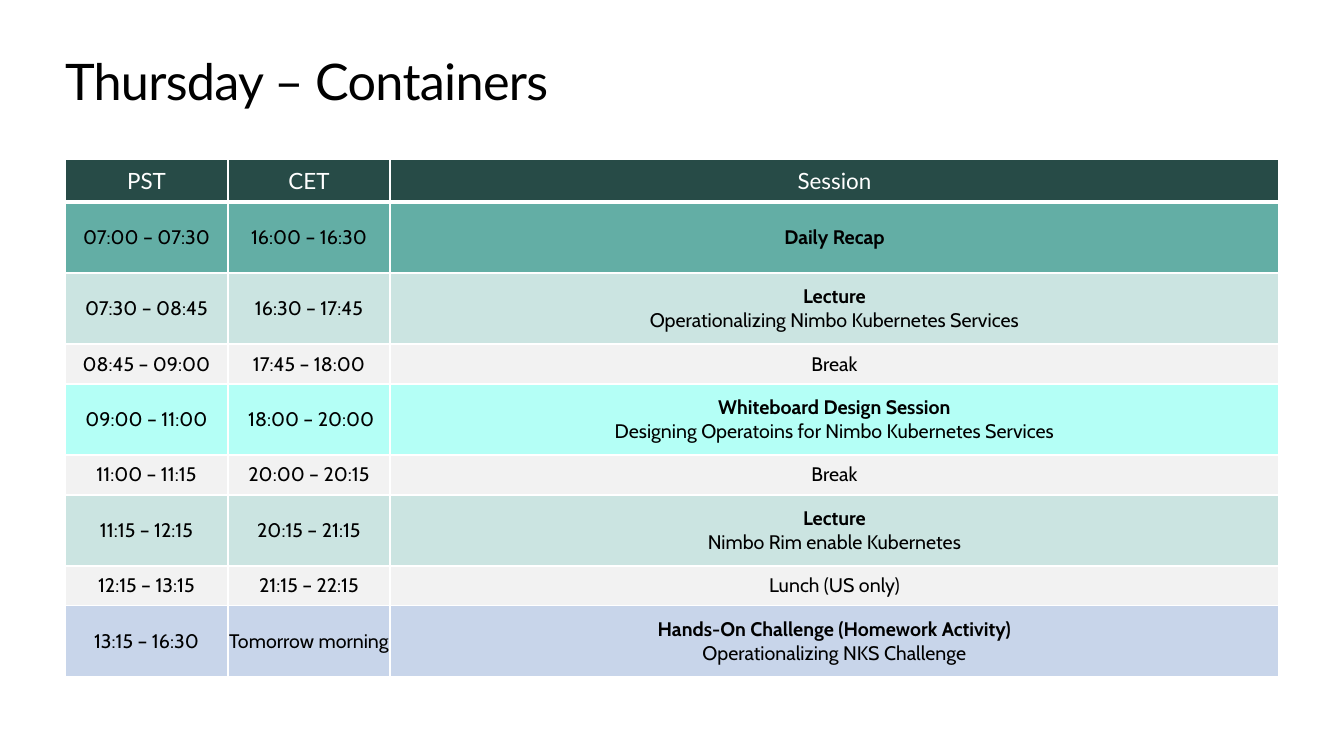
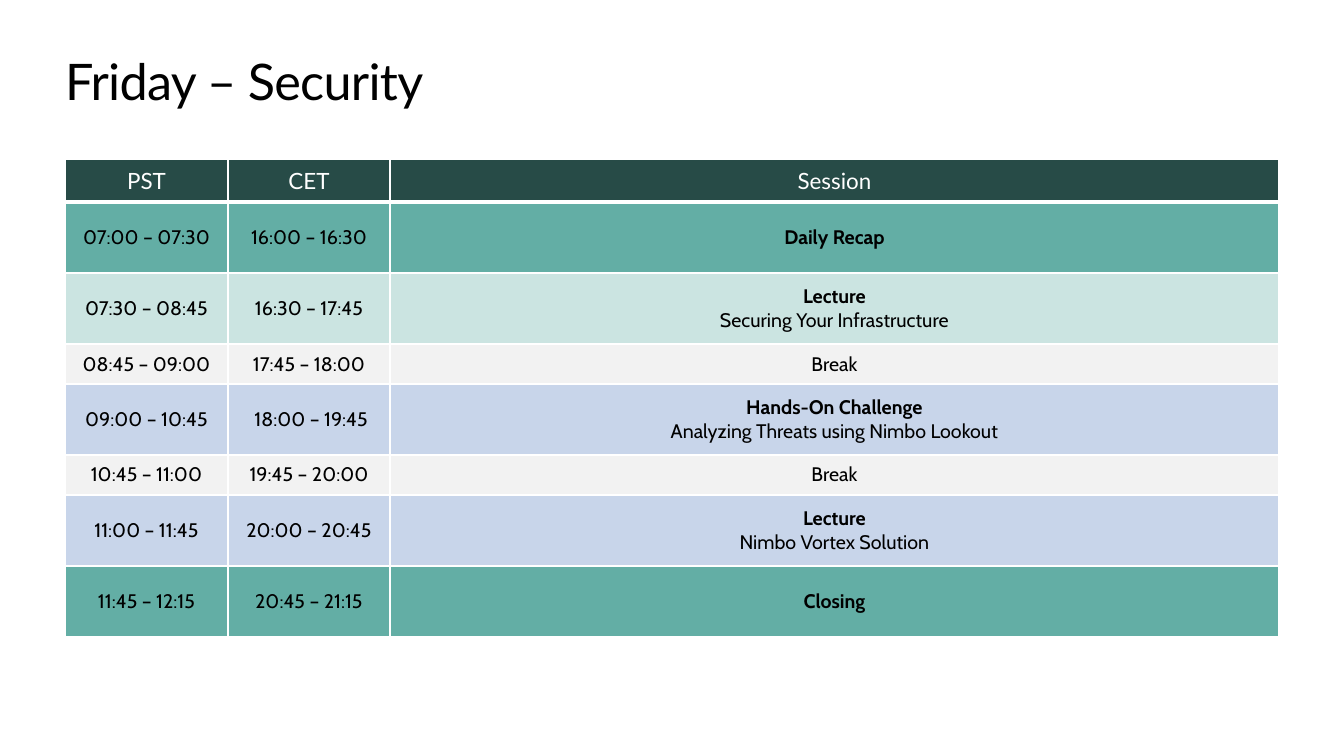
from lxml import etree
from pptx import Presentation
from pptx.dml.color import RGBColor
from pptx.enum.text import MSO_ANCHOR, PP_ALIGN
from pptx.oxml.ns import qn
from pptx.util import Emu, Pt

CENTER = PP_ALIGN.CENTER
MIDDLE = MSO_ANCHOR.MIDDLE
SCALE = 914400 / 100.8

BLACK = RGBColor(0x00, 0x00, 0x00)
WHITE = RGBColor(0xFF, 0xFF, 0xFF)
DARK_TEAL = RGBColor(0x27, 0x4B, 0x47)
TEAL = RGBColor(0x63, 0xAE, 0xA5)
PALE_TEAL = RGBColor(0xCB, 0xE4, 0xE1)
AQUA = RGBColor(0xB4, 0xFF, 0xF6)
BLUE = RGBColor(0xC8, 0xD5, 0xEA)
GREY = RGBColor(0xF2, 0xF2, 0xF2)

TITLE_FONT = {"name": "Lato", "size": Pt(36), "color": BLACK}
HEADER_FONT = {"name": "Lato", "size": Pt(16), "color": WHITE, "bold": False}
BODY_FONT = {"name": "Cabin", "size": Pt(14), "color": BLACK, "bold": False}
STRONG_FONT = {**BODY_FONT, "bold": True}

SLIDE_W, SLIDE_H = 1344, 756
LEFT, WIDTH = 65, 1214
TITLE_TOP, TITLE_H = 50, 62
TABLE_TOP = 159
COL_WIDTHS = (163, 162, 889)
HEADER_H, SESSION_H, PAUSE_H = 43, 71, 40
THIN, THICK = Pt(1), Pt(3)

HEADER = ("PST", "CET", "Session")
DAYS = [
    ("Thursday – Containers", [
        (TEAL, "07:00 – 07:30", "16:00 – 16:30", ["Daily Recap"]),
        (PALE_TEAL, "07:30 – 08:45", "16:30 – 17:45",
         ["Lecture", "Operationalizing Nimbo Kubernetes Services"]),
        (GREY, "08:45 – 09:00", "17:45 – 18:00", ["Break"]),
        (AQUA, "09:00 – 11:00", " 18:00 – 20:00",
         ["Whiteboard Design Session",
          "Designing Operatoins for Nimbo Kubernetes Services"]),
        (GREY, "11:00 – 11:15", "20:00 – 20:15", ["Break"]),
        (PALE_TEAL, "11:15 – 12:15", "20:15 – 21:15",
         ["Lecture", "Nimbo Rim enable Kubernetes"]),
        (GREY, "12:15 – 13:15", "21:15 – 22:15", ["Lunch (US only)"]),
        (BLUE, "13:15 – 16:30", "Tomorrow morning",
         ["Hands-On Challenge (Homework Activity)",
          "Operationalizing NKS Challenge"]),
    ]),
    ("Friday – Security", [
        (TEAL, "07:00 – 07:30", "16:00 – 16:30", ["Daily Recap"]),
        (PALE_TEAL, "07:30 – 08:45", "16:30 – 17:45",
         ["Lecture", "Securing Your Infrastructure"]),
        (GREY, "08:45 – 09:00", "17:45 – 18:00", ["Break"]),
        (BLUE, "09:00 – 10:45", " 18:00 – 19:45",
         ["Hands-On Challenge", "Analyzing Threats using Nimbo Lookout"]),
        (GREY, "10:45 – 11:00", "19:45 – 20:00", ["Break"]),
        (BLUE, "11:00 – 11:45", "20:00 – 20:45",
         ["Lecture", "Nimbo Vortex Solution"]),
        (TEAL, "11:45 – 12:15", "20:45 – 21:15", ["Closing"]),
    ]),
]


def px(value):
    return Emu(round(value * SCALE))


def add_run(p, text, font):
    r = p.add_run()
    r.text = text
    for name, value in font.items():
        if name == "color":
            r.font.color.rgb = value
        else:
            setattr(r.font, name, value)
    return r


def clear_margins(box):
    for side in ("left", "right", "top", "bottom"):
        setattr(box, f"margin_{side}", 0)


def add_title(s, text):
    tf = s.shapes.add_textbox(px(LEFT), px(TITLE_TOP), px(WIDTH), px(TITLE_H)).text_frame
    tf.word_wrap = True
    clear_margins(tf)
    r = add_run(tf.paragraphs[0], text, TITLE_FONT)
    r.font._element.set("spc", "-50")


def set_borders(cell, top, bottom):
    tc_pr = cell._tc.get_or_add_tcPr()
    for side, width in (("L", THIN), ("R", THIN), ("T", top), ("B", bottom)):
        ln = etree.SubElement(tc_pr, qn(f"a:ln{side}"), w=str(width))
        fill = etree.SubElement(ln, qn("a:solidFill"))
        etree.SubElement(fill, qn("a:srgbClr"), val=str(WHITE))


def fill_cell(cell, lines, color, row):
    set_borders(cell, THICK if row == 1 else THIN, THICK if row == 0 else THIN)
    cell.fill.solid()
    cell.fill.fore_color.rgb = color
    cell.vertical_anchor = MIDDLE
    clear_margins(cell)
    tf = cell.text_frame
    for i, (text, font) in enumerate(lines):
        p = tf.paragraphs[0] if i == 0 else tf.add_paragraph()
        p.alignment = CENTER
        add_run(p, text, font)


def session_lines(color, session):
    head = BODY_FONT if color == GREY else STRONG_FONT
    return [(text, BODY_FONT if i else head) for i, text in enumerate(session)]


def add_schedule(s, sessions):
    rows = [(DARK_TEAL, HEADER_H, [[(text, HEADER_FONT)] for text in HEADER])]
    for color, pst, cet, session in sessions:
        cells = [[(pst, BODY_FONT)], [(cet, BODY_FONT)], session_lines(color, session)]
        rows.append((color, PAUSE_H if color == GREY else SESSION_H, cells))
    height = sum(row[1] for row in rows)
    table = s.shapes.add_table(len(rows), len(HEADER), px(LEFT), px(TABLE_TOP),
                               px(WIDTH), px(height)).table
    table.horz_banding = False
    for col, width in zip(table.columns, COL_WIDTHS):
        col.width = px(width)
    for i, (color, row_h, cells) in enumerate(rows):
        table.rows[i].height = px(row_h)
        for j, lines in enumerate(cells):
            fill_cell(table.cell(i, j), lines, color, i)


def main():
    prs = Presentation()
    prs.slide_width, prs.slide_height = px(SLIDE_W), px(SLIDE_H)
    for title, sessions in DAYS:
        s = prs.slides.add_slide(prs.slide_layouts[6])
        add_title(s, title)
        add_schedule(s, sessions)
    prs.save("out.pptx")


if __name__ == "__main__":
    main()
